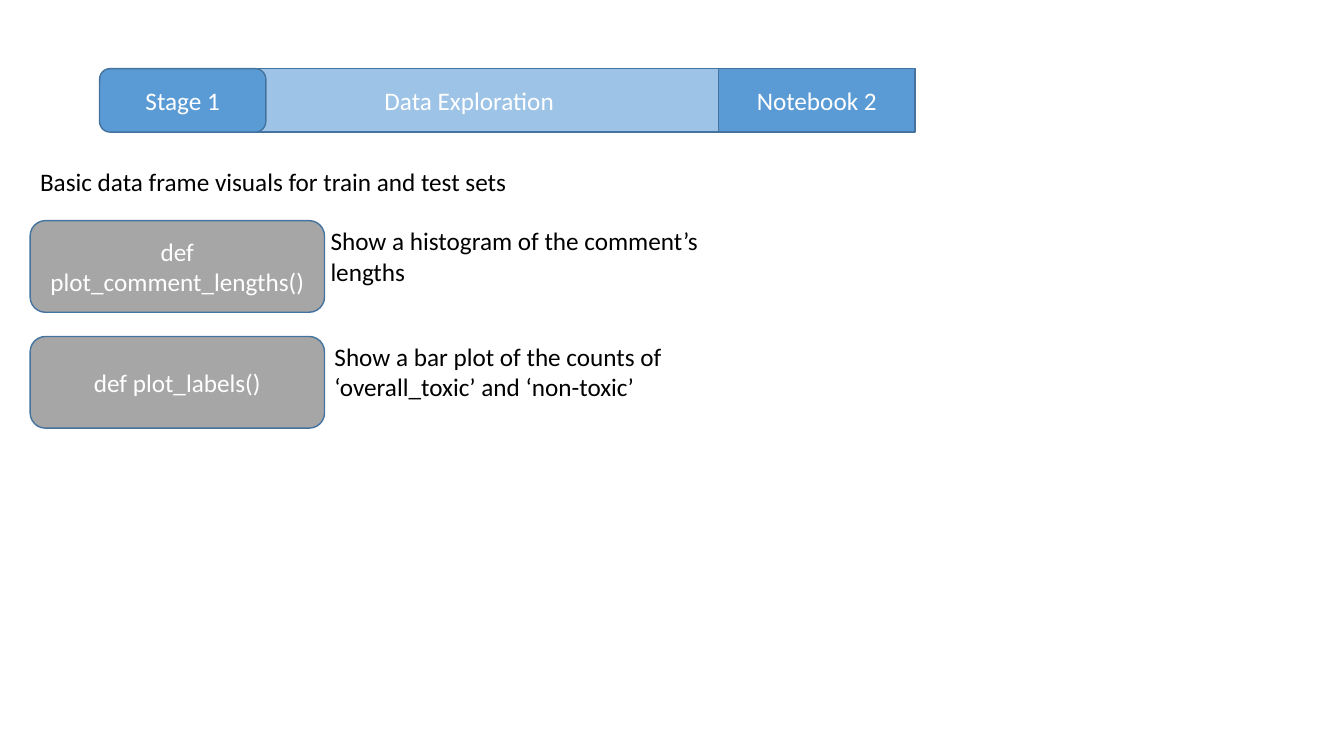
import pptx
import pptx.util
import pptx.dml.color
import pptx.enum.shapes
import pptx.enum.text

Cm = pptx.util.Cm
Shapes = pptx.enum.shapes.MSO_SHAPE
COLORS = {
    "stage": "5B9BD5",
    "title": "9DC3E6",
    "function": "A6A6A6",
    "outline": "43739E",
    "light_text": "FFFFFF",
    "dark_text": "000000",
}


def rgb(name):
    """Return the named colour."""
    return pptx.dml.color.RGBColor.from_string(COLORS[name])


def write_text(shape, text, color):
    """Put one wrapped 18 pt paragraph into a shape and return it."""
    shape.text_frame.word_wrap = True
    paragraph = shape.text_frame.paragraphs[0]
    paragraph.text = text
    paragraph.font.size = pptx.util.Pt(18)
    paragraph.font.name = "Calibri"
    paragraph.font.color.rgb = rgb(color)
    return paragraph


def add_block(slide, preset, box, text, fill):
    """Add an outlined block with centred text; box is in centimetres."""
    shape = slide.shapes.add_shape(preset, *map(Cm, box))
    shape.shadow.inherit = False
    shape.fill.solid()
    shape.fill.fore_color.rgb = rgb(fill)
    shape.line.color.rgb = rgb("outline")
    shape.line.width = pptx.util.Pt(1)
    shape.text_frame.vertical_anchor = pptx.enum.text.MSO_ANCHOR.MIDDLE
    paragraph = write_text(shape, text, "light_text")
    paragraph.alignment = pptx.enum.text.PP_ALIGN.CENTER


def add_label(slide, box, text):
    """Add a plain text box; box is in centimetres."""
    label = slide.shapes.add_textbox(*map(Cm, box))
    write_text(label, text, "dark_text")
    label.text_frame.auto_size = pptx.enum.text.MSO_AUTO_SIZE.SHAPE_TO_FIT_TEXT


def add_header(slide, left, top, width, height):
    """Add the banner: title behind the stage tab, notebook at the right."""
    stage_width, notebook_width, title_offset = 4.19, 4.95, 3.03
    title_width = width - title_offset - notebook_width
    add_block(slide, Shapes.RECTANGLE, (left + title_offset, top, title_width, height),
              "Data Exploration", "title")
    add_block(slide, Shapes.ROUNDED_RECTANGLE, (left, top, stage_width, height),
              "Stage 1", "stage")
    add_block(slide, Shapes.RECTANGLE,
              (left + width - notebook_width, top, notebook_width, height),
              "Notebook 2", "stage")


def add_function_row(slide, left, top, width, height, name, description, indent):
    """Add a function block with its description starting at the indent."""
    add_block(slide, Shapes.ROUNDED_RECTANGLE, (left, top, 7.42, height), name, "function")
    add_label(slide, (left + indent, top, width - indent, 1.8), description)


def build_slide(presentation):
    """Lay out the header, the introduction and the function rows."""
    slide = presentation.slides.add_slide(presentation.slide_layouts[6])
    left = 0.76
    add_header(slide, 2.51, 1.73, 20.55, 1.6)
    add_label(slide, (left, 4.06, 13.13, 1.02),
              "Basic data frame visuals for train and test sets")
    rows = [
        ("def plot_comment_lengths()", "Show a histogram of the comment’s lengths", 7.32, 18.29),
        ("def plot_labels()",
         "Show a bar plot of the counts of ‘overall_toxic’ and ‘non-toxic’", 7.42, 16.74),
    ]
    for index, (name, description, indent, width) in enumerate(rows):
        add_function_row(slide, left, 5.56 + index * 2.92, width, 2.31,
                         name, description, indent)


presentation = pptx.Presentation()
presentation.slide_width = Cm(33.87)
presentation.slide_height = Cm(19.05)
build_slide(presentation)
presentation.save("out.pptx")
